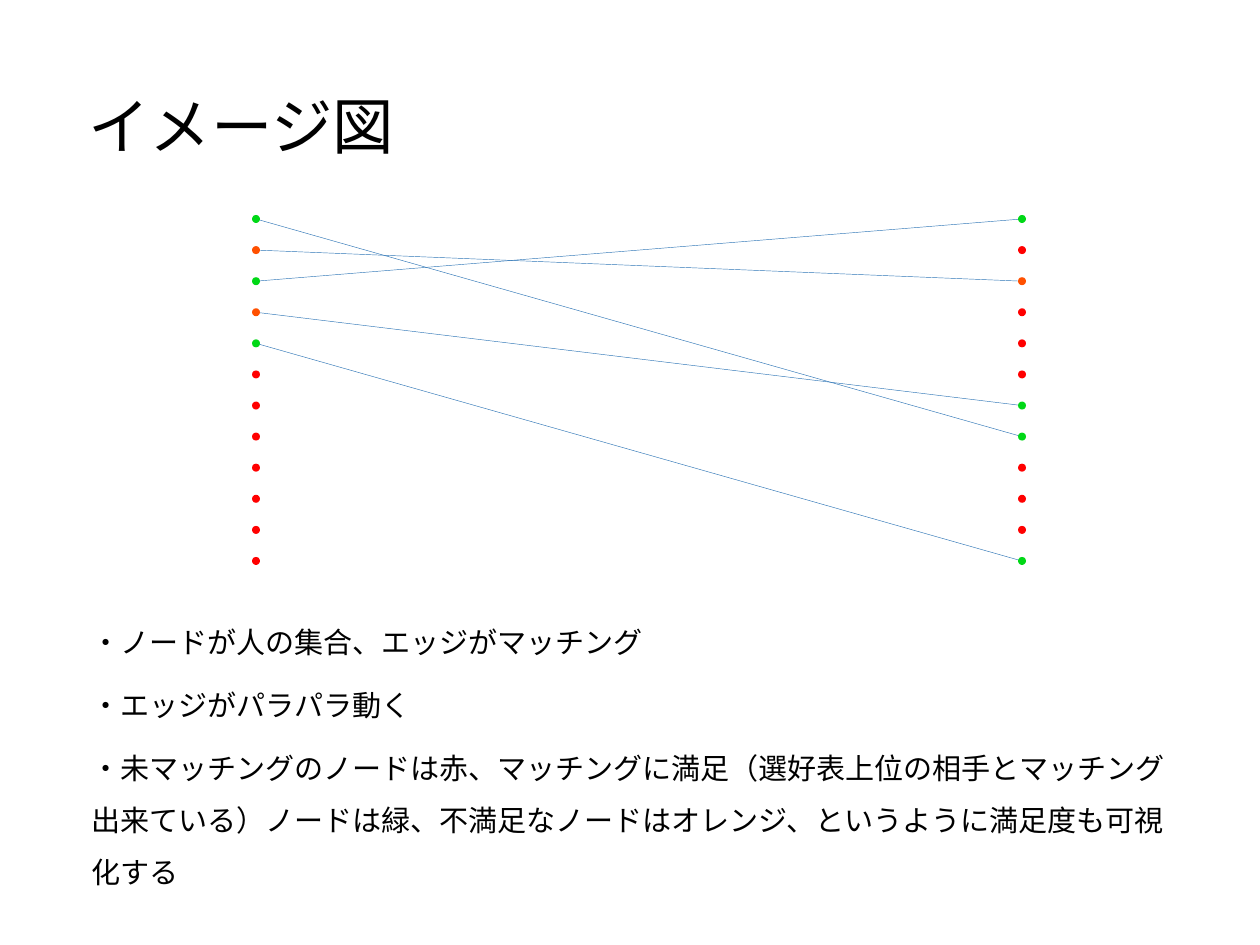
import pptx
import pptx.util
import pptx.dml.color
import pptx.enum.shapes
import pptx.enum.text
import pptx.oxml
import pptx.oxml.ns

FONT = "Noto Sans CJK JP"
HUES = {"text": "000000", "edge": "2E75B6", "good": "00D816",
        "fair": "FF5000", "none": "FF0000"}
ROWS, DOT = 12, 8
# Matched rows on each side; all other nodes are unmatched
LEFT = {0: "good", 1: "fair", 2: "good", 3: "fair", 4: "good"}
RIGHT = {0: "good", 2: "fair", 6: "good", 7: "good", 11: "good"}
EDGES = [(1, 2), (0, 7), (4, 11), (2, 0), (3, 6)]
NOTES = [
    "・ノードが人の集合、エッジがマッチング",
    "・エッジがパラパラ動く",
    "・未マッチングのノードは赤、マッチングに満足（選好表上位の相手とマッチング"
    "出来ている）ノードは緑、不満足なノードはオレンジ、というように満足度も可視化する",
]


def px(n):
    return pptx.util.Emu(round(n * 914400 / 126))


def hue(name):
    return pptx.dml.color.RGBColor.from_string(HUES[name])


def fill_text(holder, box, lines, size, space, before):
    """Place a placeholder in its box and write one paragraph per line."""
    holder.left, holder.top, holder.width, holder.height = map(px, box)
    frame = holder.text_frame
    frame.word_wrap = True
    frame.auto_size = pptx.enum.text.MSO_AUTO_SIZE.NONE
    frame.vertical_anchor = pptx.enum.text.MSO_ANCHOR.MIDDLE
    for i, line in enumerate(lines):
        para = frame.add_paragraph() if i else frame.paragraphs[0]
        para.alignment = pptx.enum.text.PP_ALIGN.LEFT
        para.line_spacing = space
        para.space_before = pptx.util.Pt(before)
        props = para._p.get_or_add_pPr()
        props.set("marL", "0")
        props.set("indent", "0")
        props.append(pptx.oxml.parse_xml(
            "<a:buNone %s/>" % pptx.oxml.ns.nsdecls("a")))
        run = para.add_run()
        run.text = line
        run.font.size = pptx.util.Pt(size)
        run.font.color.rgb = hue("text")
        run.font.name = FONT
        run._r.get_or_add_rPr().append(pptx.oxml.parse_xml(
            '<a:ea %s typeface="%s"/>' % (pptx.oxml.ns.nsdecls("a"), FONT)))


def add_edge(slide, start, end):
    edge = slide.shapes.add_connector(
        pptx.enum.shapes.MSO_CONNECTOR.STRAIGHT, *map(px, start + end))
    edge.line.color.rgb = hue("edge")
    edge.line.width = pptx.util.Pt(0.25)
    edge._element.spPr.append(pptx.oxml.parse_xml(
        "<a:effectLst %s/>" % pptx.oxml.ns.nsdecls("a")))


def add_node(slide, x, y, kind):
    node = slide.shapes.add_shape(
        pptx.enum.shapes.MSO_SHAPE.OVAL, px(x), px(y), px(DOT), px(DOT))
    node.shadow.inherit = False
    node.fill.solid()
    node.fill.fore_color.rgb = hue(kind)
    node.line.fill.background()


def draw_graph(slide, box):
    """Two columns of nodes at the sides of the box, joined by edges."""
    left, top, width, height = box
    right = left + width - DOT
    step = (height - DOT) / (ROWS - 1)
    half = DOT / 2
    # Edges run between node centres, behind the nodes
    for a, b in EDGES:
        add_edge(slide, (left + half, top + a * step + half),
                 (right + half, top + b * step + half))
    for x, kinds in ((left, LEFT), (right, RIGHT)):
        for row in range(ROWS):
            add_node(slide, x, top + row * step, kinds.get(row, "none"))


def main():
    deck = pptx.Presentation()
    deck.slide_width, deck.slide_height = px(1260), px(945)
    slide = deck.slides.add_slide(deck.slide_layouts[1])
    draw_graph(slide, (252, 215, 774, 350))
    fill_text(slide.shapes.title, (76, 59, 1036, 110),
              ["イメージ図"], 35.1, 1.3, 0)
    fill_text(slide.placeholders[1], (79, 596, 1116, 305),
              NOTES, 16.6, 1.5, 6)
    deck.save("out.pptx")


if __name__ == "__main__":
    main()
